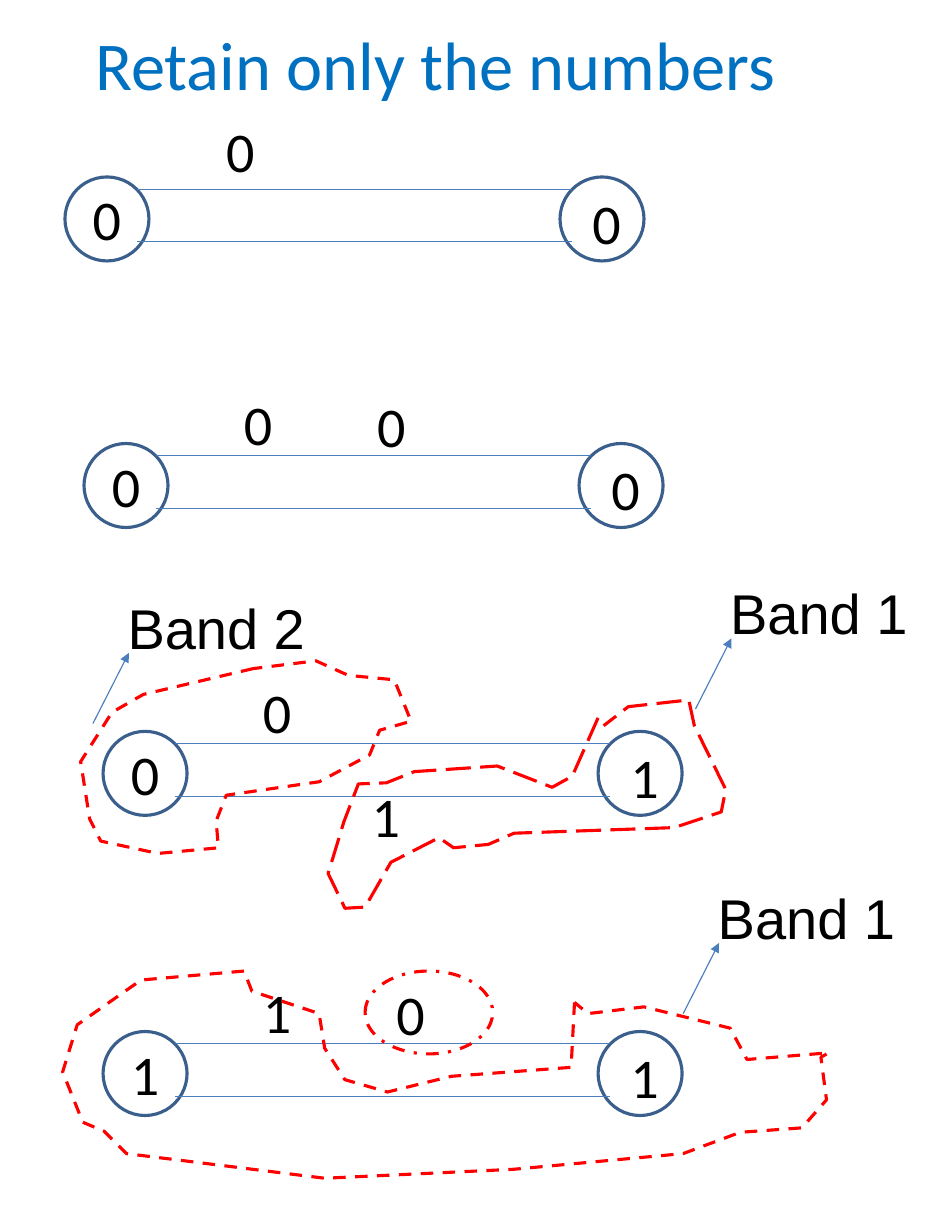
import pptx
import pptx.util
import pptx.dml.color
import pptx.enum.dml
import pptx.enum.shapes
import pptx.enum.text
import pptx.oxml
import pptx.oxml.ns

COLORS = {"title": "0070C0", "text": "000000", "node": "3A5F8C",
          "edge": "4B7EBC", "band": "FF0000"}
Dash = pptx.enum.dml.MSO_LINE
OVAL = pptx.enum.shapes.MSO_SHAPE.OVAL

prs = pptx.Presentation()
prs.slide_width = pptx.util.Inches(8.5)
prs.slide_height = pptx.util.Inches(11)
slide = prs.slides.add_slide(prs.slide_layouts[6])
shapes = slide.shapes
CELL = prs.slide_width // 850  # the slide is a grid of 850 columns by 1100 rows


def add_label(text, x, y, width, font="Calibri", size=36, color="text", wrap=False):
    box = shapes.add_textbox(x * CELL, y * CELL, width * CELL, (84 if wrap else 71) * CELL)
    frame = box.text_frame
    frame.text = text
    frame.word_wrap = wrap
    frame.auto_size = pptx.enum.text.MSO_AUTO_SIZE.SHAPE_TO_FIT_TEXT
    run_font = frame.paragraphs[0].runs[0].font
    run_font.name, run_font.size = font, pptx.util.Pt(size)
    run_font.color.rgb = pptx.dml.color.RGBColor.from_string(COLORS[color])


def add_edge(x1, y1, x2, y2):
    edge = shapes.add_connector(pptx.enum.shapes.MSO_CONNECTOR.STRAIGHT,
                                x1 * CELL, y1 * CELL, x2 * CELL, y2 * CELL)
    edge.line.width = pptx.util.Pt(0.75)
    edge.line.color.rgb = pptx.dml.color.RGBColor.from_string(COLORS["edge"])
    edge._element.spPr.append(pptx.oxml.parse_xml(
        "<a:effectLst %s/>" % pptx.oxml.ns.nsdecls("a")))
    return edge


# Node pairs: left, top, left digit, right digit, digits between as (digit, x, y)
pairs = [
    (58, 158, "0", "0", [("0", 192, 99)]),
    (75, 396, "0", "0", [("0", 208, 343), ("0", 327, 345)]),
    (92, 653, "0", "1", [("0", 225, 600), ("1", 322, 693)]),
    (92, 921, "1", "1", [("1", 225, 868), ("0", 344, 870)]),
]
outlines = []  # (shape, colour, dash)
for left, top, left_digit, right_digit, between in pairs:
    for node_x in (left, left + 442):
        node = shapes.add_shape(OVAL, node_x * CELL, top * CELL, 75 * CELL, 75 * CELL)
        outlines.append((node, "node", None))
    for edge_y in (top + 11, top + 58):
        add_edge(left + 64, edge_y, left + 453, edge_y)
    add_label(left_digit, left + 15, top + 2, 46)
    add_label(right_digit, left + 461, top + 5, 46)
    for digit, x, y in between:
        add_label(digit, x, y, 46)

add_label("Retain only the numbers", 75, 15, 662, size=44, color="title", wrap=True)

# Bands: dash, closed, corners of the outline
bands = [
    (Dash.DASH, True, [
        (513, 895), (510, 953), (403, 961), (346, 975), (308, 964), (290, 936),
        (285, 905), (225, 885), (218, 867), (126, 875), (69, 915), (56, 957),
        (74, 1002), (93, 1010), (113, 1030), (290, 1052), (459, 1044), (610, 1030),
        (661, 1011), (716, 1007), (738, 982), (733, 944), (740, 940), (667, 946),
        (652, 918), (575, 899), (525, 905)]),
    (Dash.LONG_DASH, False, [
        (534, 641), (511, 693), (493, 703), (444, 684), (370, 689), (345, 699),
        (320, 700), (307, 734), (293, 780), (308, 811), (326, 810), (349, 770),
        (392, 748), (405, 757), (436, 754), (459, 744), (602, 739), (644, 725),
        (648, 705), (620, 648), (615, 625), (561, 631), (539, 648)]),
    (Dash.DASH, True, [
        (226, 597), (128, 620), (100, 636), (72, 680), (80, 731), (90, 751),
        (141, 762), (195, 757), (193, 733), (202, 710), (285, 698), (330, 674),
        (339, 652), (367, 644), (352, 607), (311, 603), (282, 590)]),
]
for dash, closed, corners in bands:
    builder = shapes.build_freeform(*corners[0], scale=CELL)
    builder.add_line_segments(corners[1:], close=closed)
    outlines.append((builder.convert_to_shape(), "band", dash))
lone_zero = shapes.add_shape(OVAL, 326 * CELL, 867 * CELL, 114 * CELL, 74 * CELL)
outlines.append((lone_zero, "band", Dash.DASH_DOT))

for outline, color, dash in outlines:
    outline.shadow.inherit = False
    outline.fill.background()
    outline.line.width = pptx.util.Pt(2)
    outline.line.color.rgb = pptx.dml.color.RGBColor.from_string(COLORS[color])
    if dash is not None:
        outline.line.dash_style = dash

for name, x, y in [("Band 1", 631, 784), ("Band 1", 642, 512), ("Band 2", 104, 525)]:
    pointer = add_edge(x - 21, y + 121, x + 11, y + 58)
    pointer.line._get_or_add_ln().append(pptx.oxml.parse_xml(
        '<a:tailEnd %s type="triangle"/>' % pptx.oxml.ns.nsdecls("a")))
    add_label(name, x, y, 179, font="Arial")

prs.save("out.pptx")
